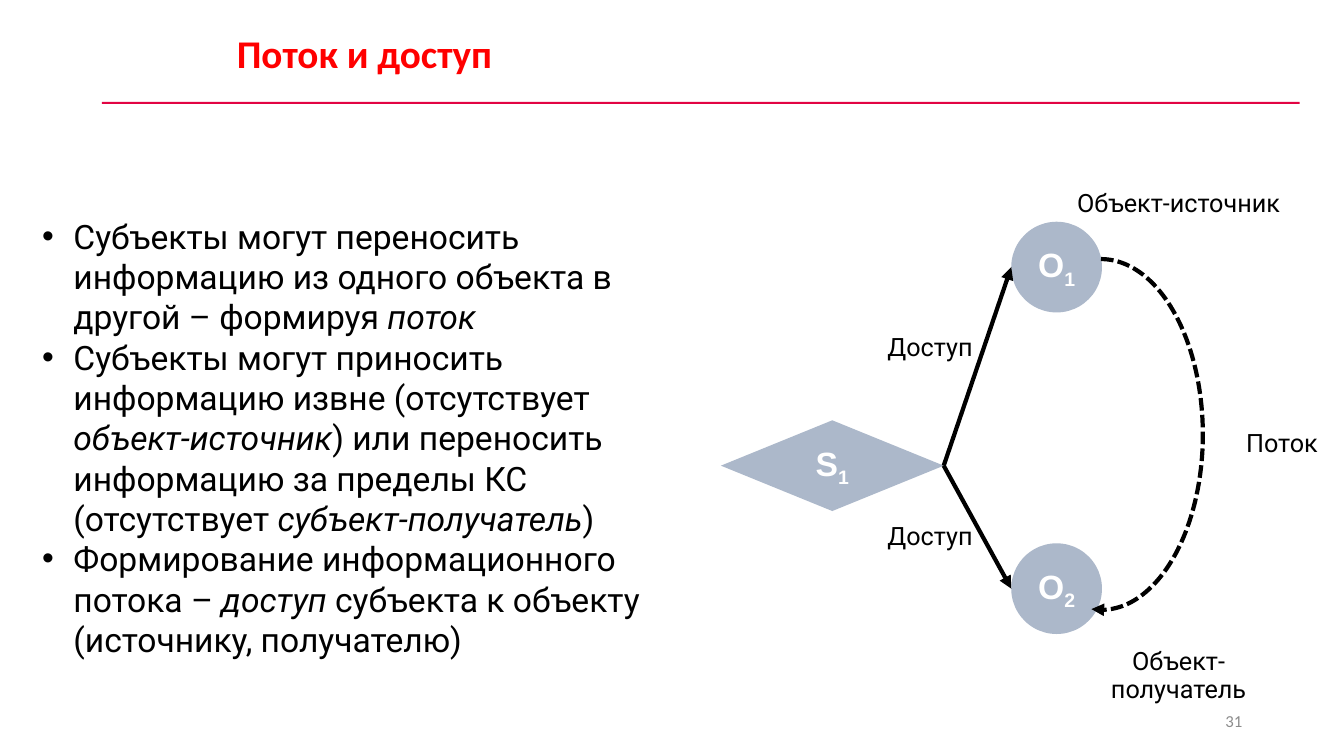
from pptx import Presentation
from pptx.dml.color import RGBColor
from pptx.enum.dml import MSO_LINE
from pptx.enum.shapes import MSO_CONNECTOR, MSO_SHAPE
from pptx.enum.text import MSO_ANCHOR, PP_ALIGN
from pptx.oxml.ns import qn
from pptx.util import Inches, Pt
from lxml.etree import SubElement

COLOURS = {"title": "FF0000", "rule": "E20443", "node": "ACB8CA",
           "node_text": "FFFFFF", "ink": "000000", "number": "8C8C8C"}

# Text formats
TITLE = {"name": "Calibri", "size": Pt(28), "bold": True}
NUMBER = {"name": "Calibri", "size": Pt(12)}
NODE = {"name": "Arial", "size": Pt(24), "bold": True}
BODY = {"name": "Roboto", "size": Pt(24)}
LABEL = {"name": "Roboto", "size": Pt(18)}

# Each bullet is a list of (text, italic)
BULLETS = [
    [("Субъекты могут переносить информацию из одного объекта в другой – формируя ", False),
     ("поток", True)],
    [("Субъекты могут приносить информацию извне (отсутствует ", False),
     ("объект-источник", True),
     (") или переносить информацию за пределы КС (отсутствует ", False),
     ("субъект-получатель", True), (")", False)],
    [("Формирование информационного потока – ", False), ("доступ ", True),
     ("субъекта к объекту (источнику, получателю)", False)],
]

NODE_SIZE = 0.9
OBJECT_LEFT = 10.03
SUBJECT_TIP = (9.36, 4.62)


def rgb(colour):
    return RGBColor.from_string(COLOURS[colour])


def add_span(para, text, values, colour):
    span = para.add_run()
    span.text = text
    for key, value in values.items():
        setattr(span.font, key, value)
    span.font.color.rgb = rgb(colour)
    return span


def add_box(page, place):
    box = page.shapes.add_textbox(*map(Inches, place))
    box.text_frame.word_wrap = True
    return box.text_frame


def add_text(page, place, text, values, colour="ink", **layout):
    frame = add_box(page, place)
    para = frame.paragraphs[0]
    for key, value in layout.items():
        setattr(para, key, value)
    add_span(para, text, values, colour)
    return frame


def add_label(page, place, text):
    add_text(page, place, text, LABEL, alignment=PP_ALIGN.CENTER, line_spacing=0.9)


def add_filled(page, kind, place, colour):
    shape = page.shapes.add_shape(kind, *map(Inches, place))
    shape.shadow.inherit = False
    shape.fill.solid()
    shape.fill.fore_color.rgb = rgb(colour)
    shape.line.fill.background()
    return shape


def add_node(page, kind, place, letter, index):
    frame = add_filled(page, kind, place, "node").text_frame
    frame.vertical_anchor = MSO_ANCHOR.MIDDLE
    para = frame.paragraphs[0]
    para.alignment = PP_ALIGN.CENTER
    add_span(para, letter, NODE, "node_text")
    subscript = add_span(para, index, NODE, "node_text")
    subscript.font._element.set("baseline", "-25000")


def style_arrow(line):
    line.color.rgb = rgb("ink")
    line.width = Pt(3)


def add_arrowhead(line):
    SubElement(line._get_or_add_ln(), qn("a:tailEnd"), type="triangle")


def add_arrow(page, start, end):
    arrow = page.shapes.add_connector(MSO_CONNECTOR.STRAIGHT, *map(Inches, start + end))
    style_arrow(arrow.line)
    add_arrowhead(arrow.line)
    SubElement(arrow._element.spPr, qn("a:effectLst"))


def add_flow(page, place):
    arc = page.shapes.add_shape(MSO_SHAPE.ARC, *map(Inches, place))
    arc.shadow.inherit = False
    arc.fill.background()
    arc.adjustments[0] = 162
    arc.adjustments[1] = 55.87
    style_arrow(arc.line)
    arc.line.dash_style = MSO_LINE.SQUARE_DOT
    add_arrowhead(arc.line)


def add_bullets(page, place, bullets):
    frame = add_box(page, place)
    for number, spans in enumerate(bullets):
        para = frame.add_paragraph() if number else frame.paragraphs[0]
        properties = para._p.get_or_add_pPr()
        properties.set("marL", str(Inches(0.31)))
        properties.set("indent", str(-Inches(0.31)))
        SubElement(properties, qn("a:buFont"), typeface="Arial")
        SubElement(properties, qn("a:buChar"), char="•")
        for text, italic in spans:
            add_span(para, text, {**BODY, "italic": italic}, "ink")


def main():
    deck = Presentation()
    deck.slide_width, deck.slide_height = Inches(13.33), Inches(7.5)
    page = deck.slides.add_slide(deck.slide_layouts[6])

    # Heading and page number
    add_filled(page, MSO_SHAPE.RECTANGLE, (1.01, 1.01, 11.88, 0.02), "rule")
    add_text(page, (2.25, 0.24, 10.71, 0.57), "Поток и доступ", TITLE, "title")
    number = add_text(page, (9.42, 6.95, 3, 0.4), "31", NUMBER, "number",
                      alignment=PP_ALIGN.RIGHT)
    number.vertical_anchor = MSO_ANCHOR.MIDDLE

    # Subject, objects and the access arrows between them
    add_node(page, MSO_SHAPE.FLOWCHART_DECISION, (7.15, 4.17, 2.21, NODE_SIZE), "S", "1")
    for index, top in (("1", 2.2), ("2", 5.39)):
        add_node(page, MSO_SHAPE.OVAL, (OBJECT_LEFT, top, NODE_SIZE, NODE_SIZE), "O", index)
        add_arrow(page, SUBJECT_TIP, (OBJECT_LEFT, top + NODE_SIZE / 2))
    add_flow(page, (9.91, 2.57, 2.02, 3.48))

    # Explanation
    add_bullets(page, (0.32, 2.09, 6.83, 4.54), BULLETS)

    # Diagram labels
    for left, top, width, text in (
            (10.46, 1.84, 2.46, "Объект-источник"),
            (10.46, 6.39, 2.46, "Объект-получатель"),
            (12.1, 4.22, 1.23, "Поток"),
            (8.61, 5.15, 1.23, "Доступ"),
            (8.61, 3.27, 1.23, "Доступ")):
        add_label(page, (left, top, width, 0.37), text)

    deck.save("out.pptx")


if __name__ == "__main__":
    main()
